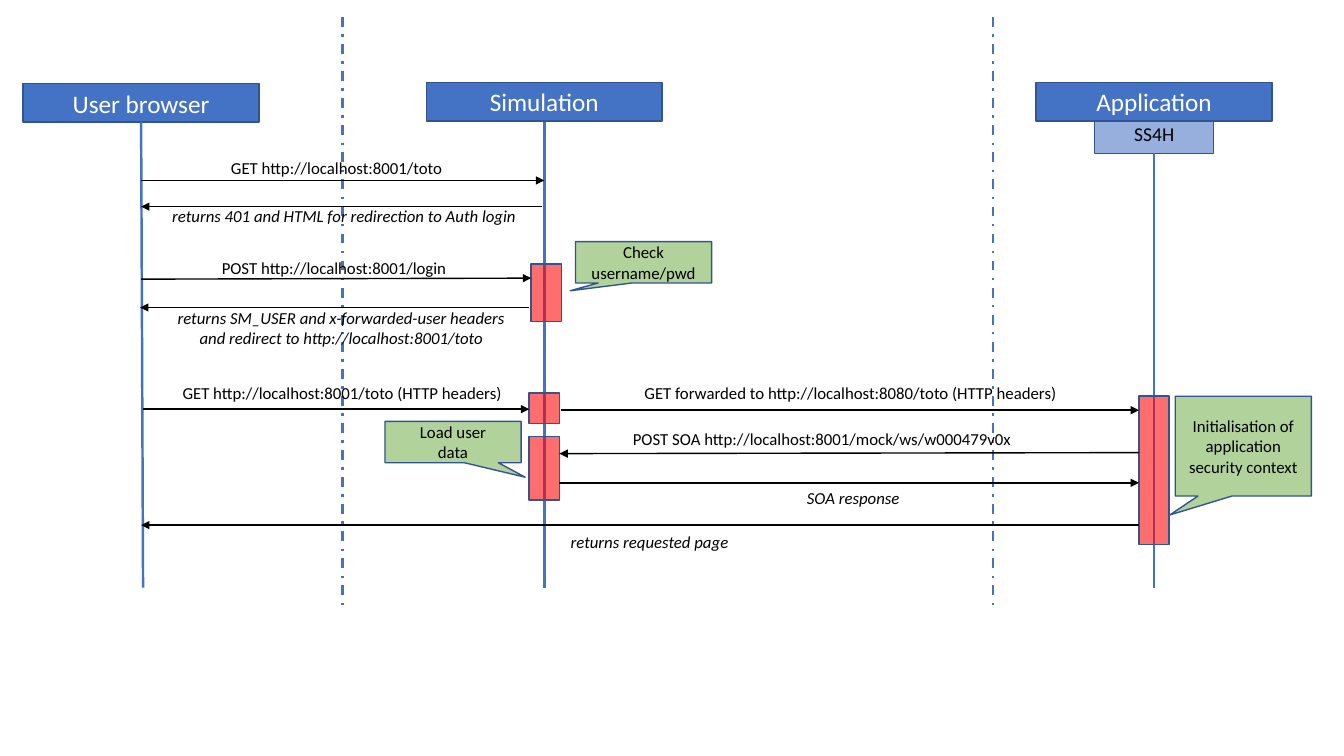
import pptx
import pptx.dml.color
import pptx.enum.dml
import pptx.enum.shapes
import pptx.enum.text
import pptx.oxml
import pptx.oxml.ns
import pptx.util

Pt = pptx.util.Pt
SHAPE = pptx.enum.shapes.MSO_SHAPE

BLUE, EDGE, BLACK, WHITE = "4472C4", "325491", "000000", "FFFFFF"
RED, GREEN = "FF0000", "70AD47"

HEADER_W, HEADER_H = 168.5, 27.4
BAR_W = 21.6
CALLOUT_W = 97.2

participants = [
    {"name": "User browser", "center": 100.8, "top": 59.8, "line_top": 87.1, "foot": 102.2},
    {"name": "Simulation", "center": 388.8, "top": 59, "line_top": 87.1, "foot": 388.8},
    {"name": "Application", "center": 824.4, "top": 59, "line_top": 109.4, "foot": 824.4},
]
filter_box = ("SS4H", 781.9, 82.1, 85, 27.4)
LIFELINE_END = 419.8

boundaries = [244.8, 709.2]
BOUNDARY_TOP, BOUNDARY_END = 12.2, 433.4

activations = [
    (379.4, 188.6, 41),
    (378, 280.8, 21.6),
    (378, 311.8, 45.4),
    (813.6, 283, 105.8),
]

messages = [
    {"lines": ["GET http://localhost:8001/toto"], "reply": False,
     "arrow": (100.8, 128.9, 388.8, 128.9), "label": (139.7, 109.4, 201.6)},
    {"lines": ["returns 401 and HTML for redirection to Auth login"], "reply": True,
     "arrow": (387.4, 147.6, 100.8, 147.6), "label": (104.4, 143.3, 283)},
    {"lines": ["POST http://localhost:8001/login"], "reply": False,
     "arrow": (100.8, 199.4, 379.4, 198.7), "label": (116.6, 180.7, 244.1)},
    {"lines": ["returns SM_USER and x-forwarded-user headers",
               "and redirect to http://localhost:8001/toto"], "reply": True,
     "arrow": (378, 219.6, 100.1, 219.6), "label": (100.8, 216, 286)},
    {"lines": ["GET http://localhost:8001/toto (HTTP headers)"], "reply": False,
     "arrow": (102.2, 292.3, 378, 292.3), "label": (100.8, 270, 287.3)},
    {"lines": ["GET forwarded to http://localhost:8080/toto (HTTP headers)"], "reply": False,
     "arrow": (401, 293, 813.6, 293), "label": (389.5, 270.2, 436.3)},
    {"lines": ["POST SOA http://localhost:8001/mock/ws/w000479v0x"], "reply": False,
     "arrow": (813.6, 323.3, 399.6, 324), "label": (439.9, 302.4, 294.5)},
    {"lines": ["SOA response"], "reply": True,
     "arrow": (399.6, 344.9, 813.6, 344.9), "label": (475.2, 344.9, 268.6)},
    {"lines": ["returns requested page"], "reply": True,
     "arrow": (813.6, 375.1, 100.8, 375.1), "label": (102.2, 376.6, 723.6)},
]

callouts = [
    (["Check username/pwd"], 411.1, 172.6, 29.5, (-0.54, 0.69)),
    (["Initialisation of application security context"], 839.5, 283, 71.3, (-0.54, 0.69)),
    (["Load user", "data"], 275, 301, 29.5, (0.53, 0.85)),
]


def rgb(value):
    return pptx.dml.color.RGBColor.from_string(value)


def add_element(parent, tag, **attributes):
    element = pptx.oxml.parse_xml(f"<a:{tag} {pptx.oxml.ns.nsdecls('a')}/>")
    for key, value in attributes.items():
        element.set(key, value)
    parent.append(element)


def write(frame, lines, size, color, italic=False):
    frame.word_wrap = True
    for index, line in enumerate(lines):
        paragraph = frame.paragraphs[0] if index == 0 else frame.add_paragraph()
        paragraph.alignment = pptx.enum.text.PP_ALIGN.CENTER
        run = paragraph.add_run()
        run.text = line
        style = {"name": "Calibri", "size": Pt(size), "italic": italic}
        for key, value in style.items():
            setattr(run.font, key, value)
        run.font.color.rgb = rgb(color)


def add_box(kind, left, top, width, height, fill, opacity=100):
    box = slide.shapes.add_shape(kind, Pt(left), Pt(top), Pt(width), Pt(height))
    box.shadow.inherit = False
    box.fill.solid()
    box.fill.fore_color.rgb = rgb(fill)
    if opacity < 100:
        solid = box.fill._xPr.find(pptx.oxml.ns.qn("a:solidFill"))
        add_element(solid[0], "alpha", val=str(opacity * 1000))
    box.line.color.rgb = rgb(EDGE)
    box.line.width = Pt(1)
    box.text_frame.vertical_anchor = pptx.enum.text.MSO_ANCHOR.MIDDLE
    return box


def add_line(x1, y1, x2, y2, color, width, dash=None, arrow=False):
    line = slide.shapes.add_connector(
        pptx.enum.shapes.MSO_CONNECTOR.STRAIGHT, Pt(x1), Pt(y1), Pt(x2), Pt(y2))
    line.line.color.rgb = rgb(color)
    line.line.width = Pt(width)
    if dash:
        line.line.dash_style = dash
    if arrow:
        add_element(line.line._get_or_add_ln(), "tailEnd", type="triangle")
    add_element(line._element.spPr, "effectLst")


presentation = pptx.Presentation()
presentation.slide_width, presentation.slide_height = Pt(960), Pt(540)
slide = presentation.slides.add_slide(presentation.slide_layouts[6])

filter_name, *filter_place = filter_box
security_filter = add_box(SHAPE.RECTANGLE, *filter_place, BLUE, 56)
write(security_filter.text_frame, [filter_name], 14, BLACK)

for person in participants:
    header = add_box(SHAPE.RECTANGLE, person["center"] - HEADER_W / 2, person["top"],
                     HEADER_W, HEADER_H, BLUE)
    write(header.text_frame, [person["name"]], 18, WHITE)
    add_line(person["center"], person["line_top"], person["foot"], LIFELINE_END, BLUE, 1.75)

for x in boundaries:
    add_line(x, BOUNDARY_TOP, x, BOUNDARY_END, BLUE, 1.75,
             dash=pptx.enum.dml.MSO_LINE.DASH_DOT)

for left, top, height in activations:
    add_box(SHAPE.RECTANGLE, left, top, BAR_W, height, RED, 57)

for message in messages:
    add_line(*message["arrow"], BLACK, 1, arrow=True)
    left, top, width = message["label"]
    height = 7.2 + 14.4 * len(message["lines"])
    label = slide.shapes.add_textbox(Pt(left), Pt(top), Pt(width), Pt(height))
    write(label.text_frame, message["lines"], 12, BLACK, message["reply"])

for lines, left, top, height, pointer in callouts:
    callout = add_box(SHAPE.RECTANGULAR_CALLOUT, left, top, CALLOUT_W, height, GREEN, 54)
    for index, offset in enumerate(pointer):
        callout.adjustments[index] = offset
    write(callout.text_frame, lines, 12, BLACK)

presentation.save("out.pptx")
